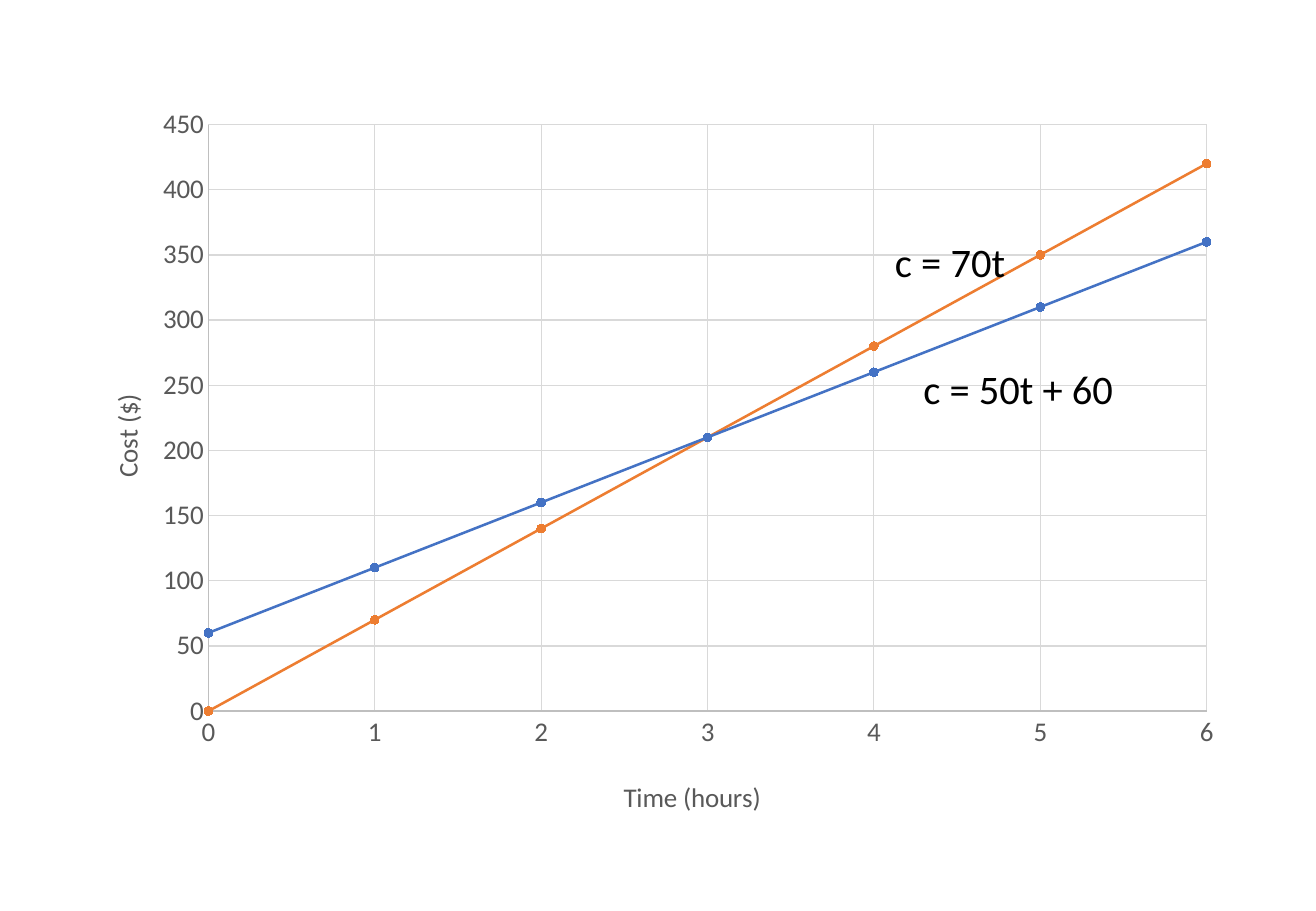
from lxml import etree
from pptx import Presentation
from pptx.chart.data import XyChartData
from pptx.dml.color import RGBColor
from pptx.enum.chart import XL_CHART_TYPE, XL_MARKER_STYLE, XL_TICK_MARK
from pptx.enum.text import PP_ALIGN
from pptx.oxml.ns import qn
from pptx.util import Inches, Pt

LINES_WITH_MARKERS = XL_CHART_TYPE.XY_SCATTER_LINES
CIRCLE = XL_MARKER_STYLE.CIRCLE
NO_TICK = XL_TICK_MARK.NONE
LEFT, RIGHT = PP_ALIGN.LEFT, PP_ALIGN.RIGHT

FONT = "Calibri"
COLORS = {
    "text": "000000",
    "axis_text": "595959",
    "axis": "BFBFBF",
    "grid": "D9D9D9",
    "fee_plus_rate": "4472C4",
    "rate_only": "ED7D31",
}


def write(frame, text, size=24, color="text", align=LEFT):
    paragraph = frame.paragraphs[0]
    paragraph.alignment = align
    run = paragraph.add_run()
    run.text = text
    run.font.name = FONT
    run.font.size = Pt(size)
    run.font.bold = False
    run.font.color.rgb = RGBColor.from_string(COLORS[color])


def place(element, index, **settings):
    for old in element.findall(qn("c:layout")):
        element.remove(old)
    layout = etree.Element(qn("c:layout"))
    manual = etree.SubElement(layout, qn("c:manualLayout"))
    for tag, value in settings.items():
        etree.SubElement(manual, qn(f"c:{tag}")).set("val", str(value))
    element.insert(index, layout)


prs = Presentation()
prs.slide_width = Inches(10.83)
prs.slide_height = Inches(7.5)
slide = prs.slides.add_slide(prs.slide_layouts[6])

hours = range(7)
cost_data = XyChartData()
for name, rate, fee in [("Series 1", 50, 60), ("Series 2", 70, 0)]:
    costs = cost_data.add_series(name)
    for hour in hours:
        costs.add_data_point(hour, rate * hour + fee)

chart = slide.shapes.add_chart(
    LINES_WITH_MARKERS, Inches(0.57), Inches(0.77), Inches(9.62), Inches(6.09), cost_data
).chart
chart.has_legend = False
chart.has_title = False
chart.font.name = FONT
chart.font.size = Pt(16)
chart.font.color.rgb = RGBColor.from_string(COLORS["text"])
chart.plots[0].vary_by_categories = False

for series, color in zip(chart.plots[0].series, ["fee_plus_rate", "rate_only"]):
    rgb = RGBColor.from_string(COLORS[color])
    series.smooth = False
    series.format.line.color.rgb = rgb
    series.format.line.width = Pt(1.5)
    series.marker.style = CIRCLE
    series.marker.size = 5
    series.marker.format.fill.solid()
    series.marker.format.fill.fore_color.rgb = rgb
    series.marker.format.line.color.rgb = rgb

for axis, title, maximum, step, x, y, rotation in [
    (chart.category_axis, "Time (hours)", 6, 1, 0.47, 0.92, 0),
    (chart.value_axis, "Cost ($)", 450, 50, 0.03, 0.4, -5400000),
]:
    axis.minimum_scale = 0
    axis.maximum_scale = maximum
    axis.major_unit = step
    axis.major_tick_mark = NO_TICK
    axis.minor_tick_mark = NO_TICK
    axis.has_major_gridlines = True
    for line, color in [(axis.format.line, "axis"), (axis.major_gridlines.format.line, "grid")]:
        line.color.rgb = RGBColor.from_string(COLORS[color])
        line.width = Pt(0.75)
    labels = axis.tick_labels
    labels.number_format = "General"
    labels.number_format_is_linked = False
    labels.font.name = FONT
    labels.font.size = Pt(16)
    labels.font.color.rgb = RGBColor.from_string(COLORS["axis_text"])
    write(axis.axis_title.text_frame, title, size=16, color="axis_text", align=PP_ALIGN.CENTER)
    title_xml = axis.axis_title._element
    body = next(title_xml.iter(qn("a:bodyPr")))
    body.set("rot", str(rotation))
    body.set("vert", "horz")
    place(title_xml, 1, xMode="edge", yMode="edge", x=x, y=y)

plot_area = next(chart._chartSpace.iter(qn("c:plotArea")))
place(plot_area, 0, layoutTarget="inner", xMode="edge", yMode="edge",
      x=0.119, y=0.042, w=0.854, h=0.793)

for equation, left, top, align in [
    ("c = 50t + 60", 7.5, 2.95, LEFT),
    ("c = 70t", 6.34, 1.9, RIGHT),
]:
    label = slide.shapes.add_textbox(Inches(left), Inches(top), Inches(2.03), Inches(0.5))
    label.text_frame.word_wrap = True
    write(label.text_frame, equation, align=align)

prs.save("out.pptx")
